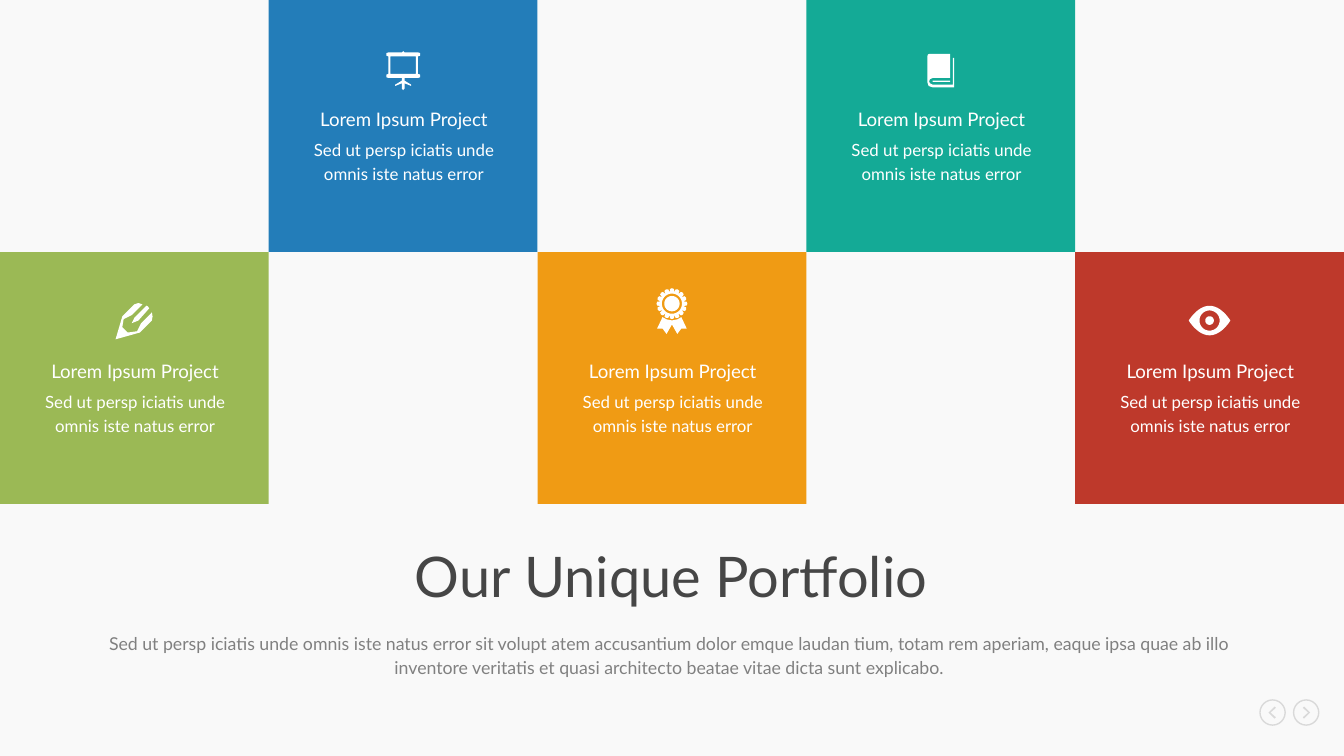
from math import cos, pi, sin

from pptx import Presentation
from pptx.dml.color import RGBColor
from pptx.enum.shapes import MSO_SHAPE
from pptx.enum.text import MSO_ANCHOR, MSO_AUTO_SIZE, PP_ALIGN
from pptx.util import Pt

PX = 9525
ICON_UNIT = 9144  # icons are drawn on a grid of 0.01 inch
PAGE_WIDTH, PAGE_HEIGHT = 960, 540
TILE_WIDTH, TILE_HEIGHT = PAGE_WIDTH // 5, PAGE_HEIGHT // 3
FONT = "Lato"
COLOURS = {
    "background": "F9F9F9", "title": "464646", "body": "808080",
    "white": "FFFFFF", "navigation": "D9D9D9",
    "blue": "237DB9", "green": "9BB955", "orange": "F09B14",
    "teal": "14AA96", "red": "BE392B",
}


def colour(name):
    return RGBColor.from_string(COLOURS[name])


def mirrored(half):
    """Close a right-hand half outline with its reflection in x = 0."""
    return half + [(-x, y) for x, y in reversed(half)]


def circle(centre_y, radius, steps=48):
    angles = [2 * pi * step / steps for step in range(steps)]
    return [(radius * cos(a), centre_y + radius * sin(a)) for a in angles]


def scalloped_rim(centre_y, petals=16):
    profile = [(-0.5, 8.5), (-0.35, 11), (0, 11.5), (0.35, 11)]
    points = []
    for petal in range(petals):
        for offset, radius in profile:
            angle = 2 * pi * (petal + offset) / petals
            points.append((radius * cos(angle), centre_y + radius * sin(angle)))
    return points


def eye_lens(centre_y):
    """Four Bezier quarters with pointed left and right corners."""
    quarter = []
    for step in range(13):
        t = step / 12
        s = 1 - t
        quarter.append((15.5 * (s**3 + 3 * s * s * t) + 27 * s * t * t,
                        11 * (3 * s * t * t + t**3)))
    right = [(x, centre_y - y) for x, y in reversed(quarter)]
    right += [(x, centre_y + y) for x, y in quarter]
    return mirrored(right)


# Outlines are measured from the middle of a tile's top edge.
ICONS = {
    "board": [
        mirrored([(0, 38), (1, 39), (11, 39), (12.5, 39.5), (12.5, 41.5),
                  (11, 42), (11, 55), (12.5, 55.5), (12.5, 57.5), (11, 58),
                  (1, 58), (1, 60), (6, 63), (6, 64), (1, 62), (1, 66), (0, 67)]),
        mirrored([(9.5, 42), (9.5, 55)]),
    ],
    "book": [
        [(10, 43), (10, 65), (-6, 65), (-9, 64), (-10, 61), (-10, 42),
         (-9.5, 40.5), (-8, 40), (7, 40), (7, 58), (-6, 58), (-8, 59),
         (-8.7, 60.5), (-8, 62), (-6, 63), (9, 63), (9, 43)],
        [(7, 60), (-6, 60), (-6, 61), (7, 61)],
    ],
    "pencil": [
        [(-9, 48), (0, 39), (3, 38), (6, 39), (-2, 47), (-8, 50), (-9, 56),
         (-5, 60), (2, 59), (5, 53), (13, 45), (13.5, 48), (13, 51),
         (4, 60), (-14, 65)],
        [(0, 49), (9, 40), (10, 40.5), (11, 42), (3, 51), (-2, 53)],
    ],
    "badge": [
        mirrored([(0, 51), (4, 50.2), (7, 48.5), (11, 57), (7, 57),
                  (4, 61), (0, 54)]),
        scalloped_rim(38.5), circle(38.5, 7.5), circle(38.5, 5.7),
    ],
    "eye": [eye_lens(51), circle(51, 7.5), circle(51, 3.2)],
}
CHEVRON = [(1.5, -4.5), (2.5, -3.5), (-1.5, 0), (2.5, 3.5), (1.5, 4.5), (-3, 0)]


def add_outline(page, origin_x, origin_y, contours, fill):
    """Draw grid contours as one shape; inner contours become holes."""
    scaled = [[(x * ICON_UNIT, y * ICON_UNIT) for x, y in contour]
              for contour in contours]
    builder = page.shapes.build_freeform(*scaled[0][0])
    for index, contour in enumerate(scaled):
        if index:
            builder.move_to(*contour[0])
        builder.add_line_segments(contour[1:], close=True)
    shape = builder.convert_to_shape(origin_x * PX, origin_y * PX)
    shape.shadow.inherit = False
    shape.fill.solid()
    shape.fill.fore_color.rgb = colour(fill)
    shape.line.fill.background()


def add_text(page, left, top, width, height, text, size, fill,
             spacing=None, after=None, anchor=MSO_ANCHOR.TOP):
    box = page.shapes.add_textbox(left * PX, top * PX, width * PX, height * PX)
    frame = box.text_frame
    frame.word_wrap = True
    frame.auto_size = MSO_AUTO_SIZE.SHAPE_TO_FIT_TEXT if after else MSO_AUTO_SIZE.NONE
    frame.vertical_anchor = anchor
    frame.margin_left = frame.margin_right = 0
    frame.margin_top = frame.margin_bottom = 0
    paragraph = frame.paragraphs[0]
    paragraph.text = text
    paragraph.alignment = PP_ALIGN.CENTER
    paragraph.line_spacing = spacing
    paragraph.space_after = after
    paragraph.font.name = FONT
    paragraph.font.size = Pt(size)
    paragraph.font.color.rgb = colour(fill)


def add_tile(page, left, top, fill, icon):
    tile = page.shapes.add_shape(MSO_SHAPE.RECTANGLE, left * PX, top * PX,
                                 TILE_WIDTH * PX, TILE_HEIGHT * PX)
    tile.shadow.inherit = False
    tile.fill.solid()
    tile.fill.fore_color.rgb = colour(fill)
    tile.line.fill.background()
    add_text(page, left + 24, top + 97, 145, 34,
             "Sed ut persp iciatis unde omnis iste natus error",
             9, "white", Pt(13), Pt(12))
    add_text(page, left + 24, top + 77, 145, 16, "Lorem Ipsum Project",
             10, "white", after=Pt(12))
    add_outline(page, left + TILE_WIDTH // 2, top, ICONS[icon], "white")


def add_caption(page, left, top, width):
    add_text(page, left, top, width, 48, "Our Unique Portfolio", 30, "title",
             spacing=0.9, anchor=MSO_ANCHOR.MIDDLE)
    add_text(page, left, top + 60, width - 3, 34,
             "Sed ut persp iciatis unde omnis iste natus error sit volupt atem "
             "accusantium dolor emque laudan tium, totam rem aperiam, eaque ipsa "
             "quae ab illo inventore veritatis et quasi architecto beatae vitae "
             "dicta sunt explicabo.", 9.5, "body", Pt(13), Pt(12))


def add_navigation_button(page, left, top, direction):
    """Direction is 1 for a chevron pointing left and -1 for right."""
    ring = page.shapes.add_shape(MSO_SHAPE.OVAL, left * PX, top * PX,
                                 18 * PX, 18 * PX)
    ring.shadow.inherit = False
    ring.fill.background()
    ring.line.color.rgb = colour("navigation")
    ring.line.width = Pt(0.75)
    chevron = [(direction * x, y) for x, y in CHEVRON]
    add_outline(page, left + 9, top + 9, [chevron], "navigation")


def main():
    deck = Presentation()
    deck.slide_width, deck.slide_height = PAGE_WIDTH * PX, PAGE_HEIGHT * PX
    page = deck.slides.add_slide(deck.slide_layouts[6])
    page.background.fill.solid()
    page.background.fill.fore_color.rgb = colour("background")
    add_navigation_button(page, 900, 500, 1)
    add_navigation_button(page, 924, 500, -1)
    add_caption(page, 62, 390, 835)
    tiles = [("green", "pencil"), ("blue", "board"), ("orange", "badge"),
             ("teal", "book"), ("red", "eye")]
    for column, (fill, icon) in enumerate(tiles):
        row = 1 - column % 2
        add_tile(page, column * TILE_WIDTH, row * TILE_HEIGHT, fill, icon)
    deck.save("out.pptx")


if __name__ == "__main__":
    main()
